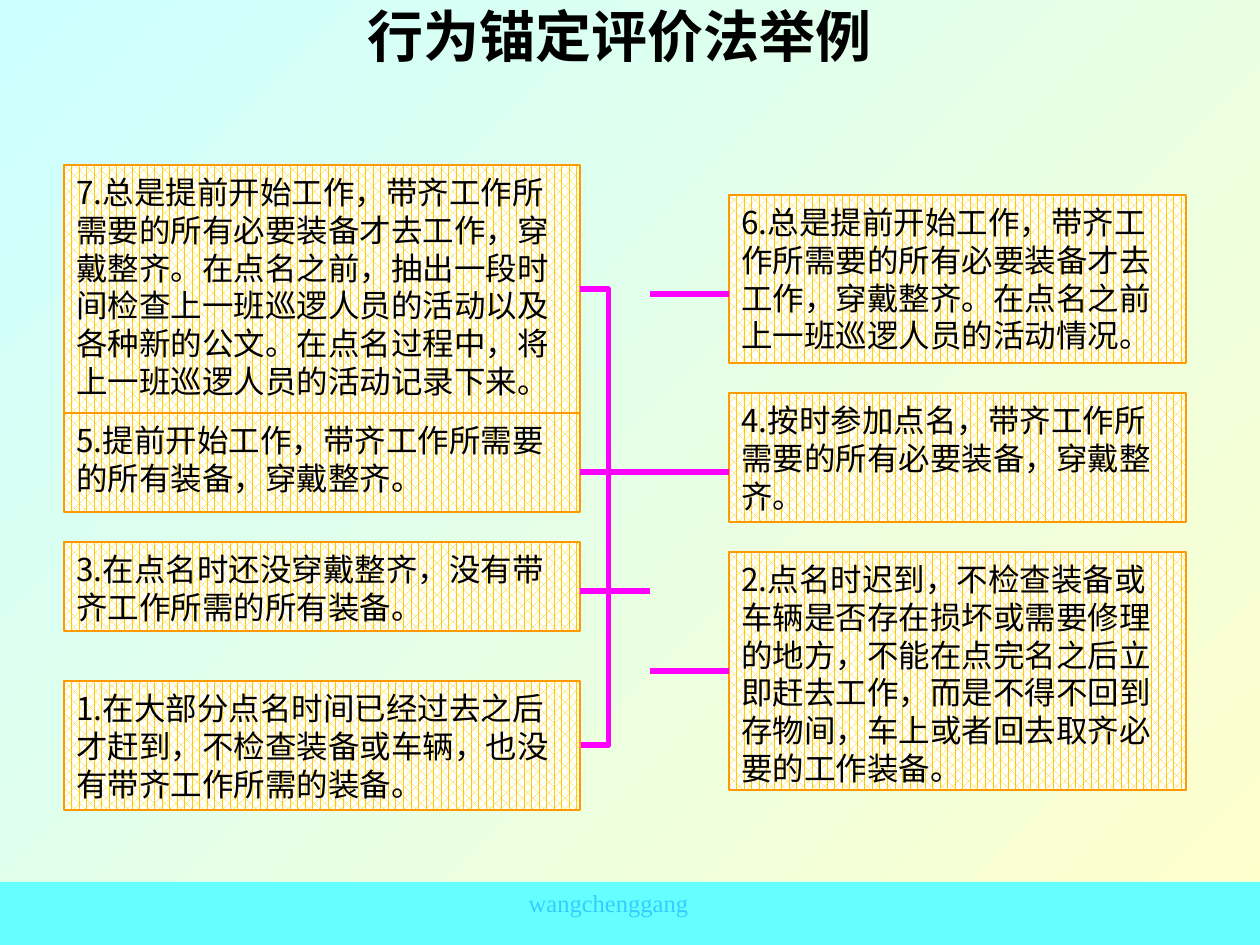
import pptx
import pptx.dml.color
import pptx.enum.dml
import pptx.enum.shapes
import pptx.enum.text
import pptx.oxml.ns
import pptx.util
import lxml.etree

PX = 914400 // 126
RGB = pptx.dml.color.RGBColor.from_string
QN = pptx.oxml.ns.qn
KIND = pptx.enum.shapes.MSO_CONNECTOR
RECT = pptx.enum.shapes.MSO_SHAPE.RECTANGLE
ALIGN = pptx.enum.text.PP_ALIGN
ANCHOR = pptx.enum.text.MSO_ANCHOR

theme = {
    "sky": ["CCFFFF", "FFFFCC"],
    "band": "66FFFF",
    "gold": "FFCC00",
    "white": "FFFFFF",
    "edge": "FF9900",
    "wire": "FF00FF",
    "east": "Noto Sans CJK SC",
    "title": {"name": "Times New Roman", "size": 32, "bold": True, "color": "000000"},
    "body": {"name": "Noto Sans CJK SC", "size": 18, "bold": False, "color": "000000"},
    "foot": {"name": "Times New Roman", "size": 14, "bold": False, "color": "33CCFF"},
}


def write(shape, text, style, align, frame):
    for key, value in ({"word_wrap": True} | frame).items():
        setattr(shape.text_frame, key, value)
    para = shape.text_frame.paragraphs[0]
    para.alignment = align
    run = para.add_run()
    run.text = text
    look = theme[style]
    values = {"name": look["name"], "size": pptx.util.Pt(look["size"]), "bold": look["bold"]}
    for key, value in values.items():
        setattr(run.font, key, value)
    run.font.color.rgb = RGB(look["color"])
    east = lxml.etree.SubElement(run.font._element, QN("a:ea"))
    east.set("typeface", theme["east"])
    return para


def wire(kind, *ends):
    line = slide.shapes.add_connector(kind, *[n * PX for n in ends])
    line.line.color.rgb = RGB(theme["wire"])
    line.line.width = pptx.util.Pt(3)
    lxml.etree.SubElement(line._element.spPr, QN("a:effectLst"))
    return line


deck = pptx.Presentation()
deck.slide_width, deck.slide_height = 1260 * PX, 945 * PX
slide = deck.slides.add_slide(deck.slide_layouts[6])

sky = slide.background.fill
sky.gradient()
sky.gradient_angle = 315
for stop, color in zip(sky.gradient_stops, theme["sky"]):
    stop.color.rgb = RGB(color)

band = slide.shapes.add_shape(RECT, 0, 882 * PX, 1260 * PX, 63 * PX)
band.shadow.inherit = False
band.fill.solid()
band.fill.fore_color.rgb = RGB(theme["band"])
band.line.fill.background()

foot = slide.shapes.add_textbox(409 * PX, 882 * PX, 399 * PX, 42 * PX)
write(foot, "wangchenggang", "foot", ALIGN.CENTER, {})
title = slide.shapes.add_textbox(84 * PX, -44 * PX, 1071 * PX, 158 * PX)
write(title, "行为锚定评价法举例", "title", ALIGN.CENTER, {"vertical_anchor": ANCHOR.MIDDLE})

columns = [
    (64, 516, [
        (165, 248, "7.总是提前开始工作，带齐工作所需要的所有必要装备才去工作，穿戴整齐。在点名之前，抽出一段时间检查上一班巡逻人员的活动以及各种新的公文。在点名过程中，将上一班巡逻人员的活动记录下来。"),
        (413, 99, "5.提前开始工作，带齐工作所需要的所有装备，穿戴整齐。"),
        (542, 89, "3.在点名时还没穿戴整齐，没有带齐工作所需的所有装备。"),
        (681, 129, "1.在大部分点名时间已经过去之后才赶到，不检查装备或车辆，也没有带齐工作所需的装备。"),
    ]),
    (729, 457, [
        (195, 168, "6.总是提前开始工作，带齐工作所需要的所有必要装备才去工作，穿戴整齐。在点名之前上一班巡逻人员的活动情况。"),
        (393, 129, "4.按时参加点名，带齐工作所需要的所有必要装备，穿戴整齐。"),
        (552, 238, "2.点名时迟到，不检查装备或车辆是否存在损坏或需要修理的地方，不能在点完名之后立即赶去工作，而是不得不回到存物间，车上或者回去取齐必要的工作装备。"),
    ]),
]
for left, width, rows in columns:
    for top, height, text in rows:
        box = slide.shapes.add_shape(RECT, left * PX, top * PX, width * PX, height * PX)
        box.shadow.inherit = False
        box.fill.patterned()
        box.fill.pattern = pptx.enum.dml.MSO_PATTERN.PERCENT_60
        box.fill.fore_color.rgb = RGB(theme["gold"])
        box.fill.back_color.rgb = RGB(theme["white"])
        box.line.color.rgb = RGB(theme["edge"])
        box.line.width = pptx.util.Pt(1)
        frame = {"vertical_anchor": ANCHOR.TOP, "margin_top": 8 * PX}
        para = write(box, text, "body", ALIGN.LEFT, frame)
        para.line_spacing = pptx.util.Pt(21.6)

trunk = wire(KIND.ELBOW, 580, 289, 581, 745)
guides = trunk._element.spPr.find(QN("a:prstGeom")).get_or_add_avLst()
bend = lxml.etree.SubElement(guides, QN("a:gd"))
bend.set("name", "adj1")
bend.set("fmla", "val 2900000")

for start, end, y in [(580, 650, 472), (580, 650, 591), (650, 729, 294),
                      (650, 729, 472), (650, 729, 671)]:
    branch = wire(KIND.STRAIGHT, start, y, end, y)
branch.end_connect(box, 1)

deck.save("out.pptx")
